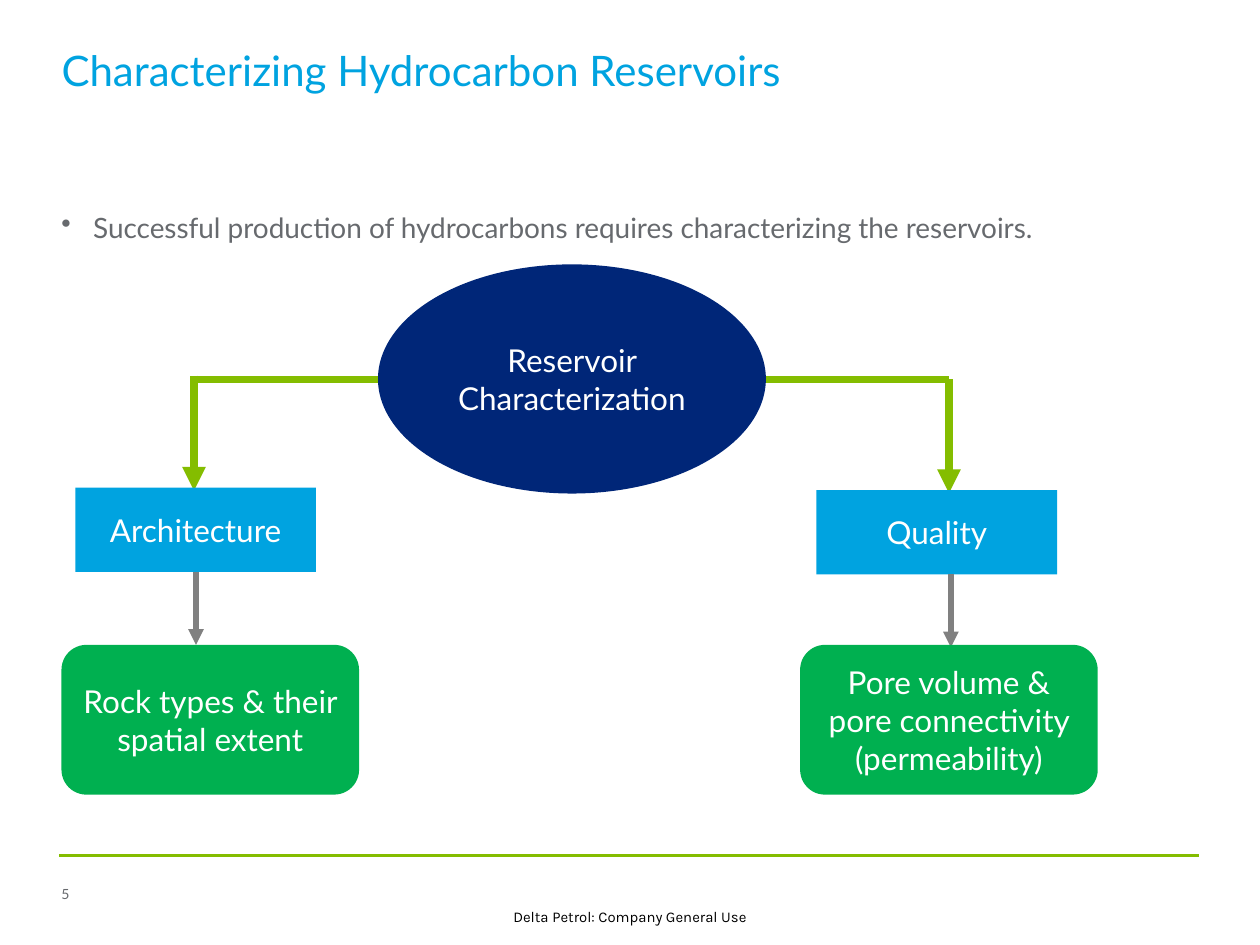
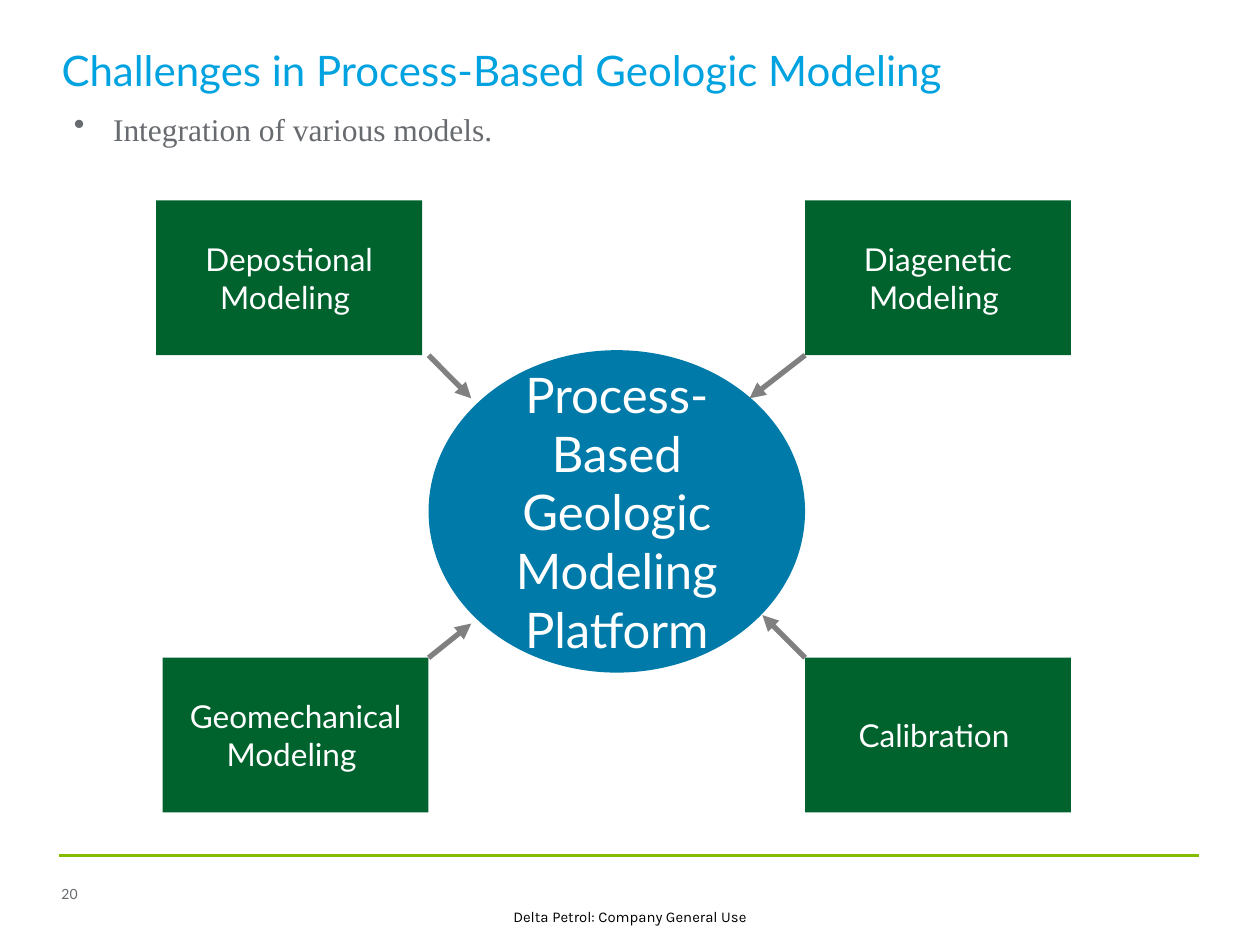
from dataclasses import dataclass
from typing import NamedTuple

from lxml import etree
from pptx import Presentation
from pptx import util as u
from pptx.dml import color
from pptx.enum import shapes, text
from pptx.oxml import ns


@dataclass(frozen=True)
class Theme:
    sky: str = "00A3E0"
    navy: str = "002678"
    ocean: str = "007AA8"
    lime: str = "84BD00"
    leaf: str = "00B050"
    forest: str = "00632E"
    gray: str = "676A6E"
    arrow: str = "808080"
    white: str = "FFFFFF"
    black: str = "000000"
    font: str = "Lato"
    footer_font: str = "Karla"
    serif_font: str = "Times New Roman"
    title_size: float = 24
    platform_size: float = 28
    label_size: float = 18
    body_size: float = 16
    footer_size: float = 8.5
    number_size: float = 8


class Box(NamedTuple):
    left: float
    top: float
    width: float
    height: float


class Point(NamedTuple):
    x: float
    y: float


@dataclass(frozen=True)
class Branch:
    category: str
    detail: str
    category_left: float
    category_top: float
    detail_left: float
    elbow: Point
    hub_x: float


@dataclass(frozen=True)
class Model:
    label: str
    left: float
    top: float
    arrow_start: Point
    arrow_end: Point


THEME = Theme()
FOOTER = "Delta Petrol: Company General Use"
TITLE_BOX = Box(1.24, 0.76, 22.96, 2.29)
NUMBER_BOX = Box(1.24, 17.7, 0.74, 0.64)
FOOTER_BOX = Box(0, 18.16, 25.4, 0.61)
RULE_ENDS = Point(1.19, 17.25), Point(24.18, 17.25)

CHARACTERIZATION_BOX = Box(7.62, 5.33, 7.82, 4.62)
CATEGORY_WIDTH, CATEGORY_HEIGHT = 4.85, 1.7
DETAIL_TOP, DETAIL_WIDTH, DETAIL_HEIGHT = 13, 6, 3.02
DETAIL_GAP = 1.47
BRANCHES = (
    Branch("Architecture", "Rock types & their spatial extent",
           1.52, 9.83, 1.24, Point(3.91, 7.57), 7.62),
    Branch("Quality", "Pore volume & pore connectivity (permeability)",
           16.46, 9.88, 16.13, Point(19.13, 7.65), 15.44),
)

PLATFORM_BOX = Box(8.64, 7.06, 7.59, 6.5)
MODEL_WIDTH, MODEL_HEIGHT = 5.36, 3.12
MODELS = (
    Model("Geomechanical Modeling ", 3.28, 13.26, Point(8.64, 13.26), Point(9.5, 12.57)),
    Model("Depostional Modeling ", 3.15, 4.04, Point(8.64, 7.16), Point(9.5, 8.03)),
    Model("Calibration ", 16.23, 13.26, Point(16.23, 13.26), Point(15.37, 12.4)),
    Model("Diagenetic Modeling ", 16.23, 4.04, Point(16.23, 7.16), Point(15.11, 8.03)),
)


def rgb(value: str) -> color.RGBColor:
    return color.RGBColor.from_string(value)


def lengths(box: Box) -> list:
    return [u.Cm(value) for value in box]


def put_text(holder, wording: str, *, size: float, ink: str, font: str = THEME.font,
             align=text.PP_ALIGN.LEFT, anchor=text.MSO_ANCHOR.TOP,
             side_inset: float = 0.0, hanging: float = 0.0) -> None:
    frame = holder.text_frame
    frame.text = wording
    frame.word_wrap = True
    frame.auto_size = text.MSO_AUTO_SIZE.NONE
    frame.vertical_anchor = anchor
    frame.margin_left = frame.margin_right = u.Cm(side_inset)
    frame.margin_top = frame.margin_bottom = u.Cm(0.13)
    for paragraph in frame.paragraphs:
        if hanging:
            properties = paragraph._p.get_or_add_pPr()
            properties.set("marL", str(u.Cm(hanging)))
            properties.set("indent", str(-u.Cm(hanging)))
            etree.SubElement(properties, ns.qn("a:buChar")).set("char", "•")
        paragraph.alignment = align
        paragraph.font.name = font
        paragraph.font.size = u.Pt(size)
        paragraph.font.color.rgb = rgb(ink)


def add_text(slide, box: Box, wording: str, **style) -> None:
    put_text(slide.shapes.add_textbox(*lengths(box)), wording, **style)


def add_node(slide, outline, box: Box, wording: str, fill: str,
             size: float = THEME.label_size) -> None:
    node = slide.shapes.add_shape(outline, *lengths(box))
    node.shadow.inherit = False
    node.fill.solid()
    node.fill.fore_color.rgb = rgb(fill)
    node.line.fill.background()
    put_text(node, wording, size=size, ink=THEME.white, side_inset=0.25,
             align=text.PP_ALIGN.CENTER, anchor=text.MSO_ANCHOR.MIDDLE)


def add_line(slide, start: Point, end: Point, ink: str, width: float,
             arrow: bool = False) -> None:
    line = slide.shapes.add_connector(
        shapes.MSO_CONNECTOR.STRAIGHT, *[u.Cm(value) for value in (*start, *end)])
    line.line.color.rgb = rgb(ink)
    line.line.width = u.Pt(width)
    properties = line._element.spPr
    if arrow:
        stroke = properties.find(ns.qn("a:ln"))
        etree.SubElement(stroke, ns.qn("a:tailEnd")).set("type", "triangle")
    etree.SubElement(properties, ns.qn("a:effectLst"))


def start_slide(deck, title: str, number: int):
    slide = deck.slides.add_slide(deck.slide_layouts.get_by_name("Title Only"))
    heading = slide.shapes.title
    heading.left, heading.top, heading.width, heading.height = lengths(TITLE_BOX)
    put_text(heading, title, size=THEME.title_size, ink=THEME.sky)
    add_text(slide, NUMBER_BOX, str(number), size=THEME.number_size, ink=THEME.gray,
             anchor=text.MSO_ANCHOR.MIDDLE)
    add_line(slide, *RULE_ENDS, THEME.lime, 2)
    add_text(slide, FOOTER_BOX, FOOTER, size=THEME.footer_size, ink=THEME.black,
             font=THEME.footer_font, align=text.PP_ALIGN.CENTER, side_inset=0.25)
    return slide


def add_branch(slide, branch: Branch) -> None:
    hub_y = 7.65
    category_bottom = branch.category_top + CATEGORY_HEIGHT
    detail_x = branch.elbow.x + 0.04
    add_line(slide, Point(branch.hub_x, hub_y), Point(branch.elbow.x, hub_y),
             THEME.lime, 4.5)
    add_line(slide, branch.elbow, Point(branch.elbow.x, branch.category_top + 0.06),
             THEME.lime, 4.5, arrow=True)
    add_node(slide, shapes.MSO_SHAPE.RECTANGLE,
             Box(branch.category_left, branch.category_top, CATEGORY_WIDTH, CATEGORY_HEIGHT),
             branch.category, THEME.sky)
    add_line(slide, Point(detail_x, category_bottom),
             Point(detail_x, category_bottom + DETAIL_GAP), THEME.arrow, 3, arrow=True)
    add_node(slide, shapes.MSO_SHAPE.ROUNDED_RECTANGLE,
             Box(branch.detail_left, DETAIL_TOP, DETAIL_WIDTH, DETAIL_HEIGHT),
             branch.detail, THEME.leaf)


def build_reservoirs(deck) -> None:
    slide = start_slide(deck, "Characterizing Hydrocarbon Reservoirs", 5)
    add_text(slide, Box(1.24, 4.11, 22.96, 12.67),
             "Successful production of hydrocarbons requires characterizing the reservoirs.",
             size=THEME.body_size, ink=THEME.gray, hanging=0.64)
    add_node(slide, shapes.MSO_SHAPE.OVAL, CHARACTERIZATION_BOX,
             "Reservoir Characterization", THEME.navy)
    for branch in BRANCHES:
        add_branch(slide, branch)


def build_challenges(deck) -> None:
    slide = start_slide(deck, "Challenges in Process-Based Geologic Modeling", 20)
    add_node(slide, shapes.MSO_SHAPE.OVAL, PLATFORM_BOX,
             "Process-Based Geologic Modeling\nPlatform", THEME.ocean, THEME.platform_size)
    for model in MODELS:
        add_node(slide, shapes.MSO_SHAPE.RECTANGLE,
                 Box(model.left, model.top, MODEL_WIDTH, MODEL_HEIGHT),
                 model.label, THEME.forest)
        add_line(slide, model.arrow_start, model.arrow_end, THEME.arrow, 3, arrow=True)
    add_text(slide, Box(1.24, 2.08, 22.05, 1), "Integration of various models.",
             size=THEME.label_size, ink=THEME.gray, font=THEME.serif_font,
             side_inset=0.25, hanging=0.79)


def main() -> None:
    deck = Presentation()
    deck.slide_width, deck.slide_height = u.Cm(25.4), u.Cm(19.05)
    build_reservoirs(deck)
    build_challenges(deck)
    deck.save("out.pptx")


if __name__ == "__main__":
    main()
